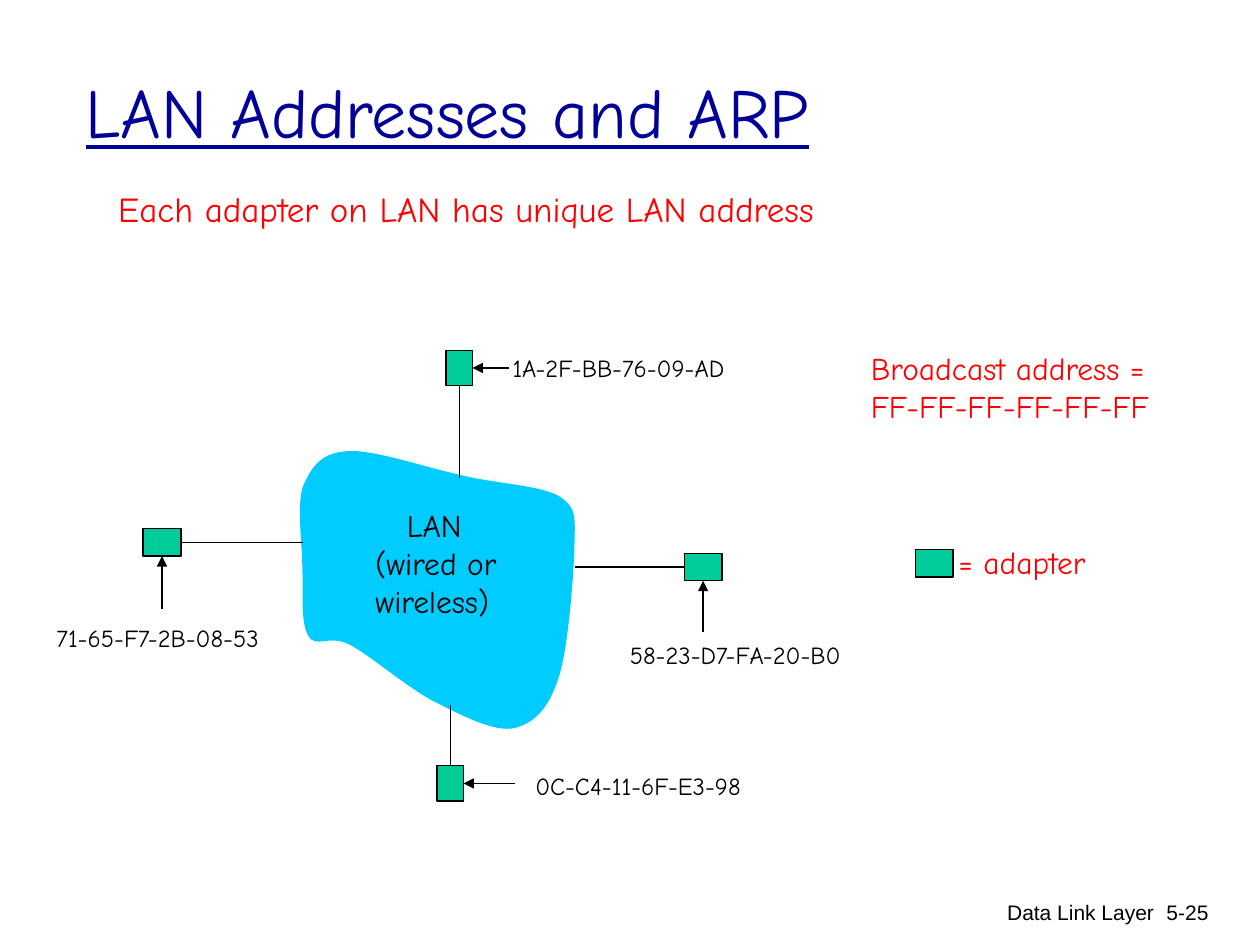
from dataclasses import dataclass

from pptx import Presentation
from pptx.dml.color import RGBColor as Color
from pptx.enum.shapes import MSO_CONNECTOR as Connector, MSO_SHAPE as Shape
from pptx.enum.text import MSO_ANCHOR as Anchor, MSO_AUTO_SIZE as AutoSize, PP_ALIGN as Align
from pptx.oxml.ns import qn
from pptx.util import Pt

TOP, LEFT, BOTTOM, RIGHT = range(4)
OUTWARD = {TOP: (0, -1), LEFT: (-1, 0), BOTTOM: (0, 1), RIGHT: (1, 0)}


@dataclass(frozen=True)
class Theme:
    heading: Color = Color.from_string("000099")
    accent: Color = Color.from_string("FF0000")
    ink: Color = Color.from_string("000000")
    adapter: Color = Color.from_string("00CC99")
    cloud: Color = Color.from_string("00CCFF")
    body_font: str = "Comic Neue"
    footer_font: str = "Arial"
    title_size: float = 40
    lead_size: float = 20
    note_size: float = 18
    label_size: float = 14
    footer_size: float = 12
    line_width: float = 0.75


THEME = Theme()


@dataclass(frozen=True)
class Label:
    lines: tuple[str, ...]
    left: float
    top: float
    width: float
    height: float
    size: float
    color: Color = THEME.ink
    font: str = THEME.body_font
    align: Align = Align.LEFT
    anchor: Anchor = Anchor.TOP
    underline: bool = False
    wrap: bool = False
    first_indent: float = 0


@dataclass(frozen=True)
class Adapter:
    left: float
    top: float
    width: float
    height: float
    wire_side: int
    wire_length: float
    arrow_side: int
    arrow_length: float


def add_label(page, label: Label) -> None:
    box = page.shapes.add_textbox(
        Pt(label.left), Pt(label.top), Pt(label.width), Pt(label.height))
    frame = box.text_frame
    frame.word_wrap = label.wrap
    frame.auto_size = AutoSize.NONE if label.wrap else AutoSize.SHAPE_TO_FIT_TEXT
    frame.vertical_anchor = label.anchor
    for index, line in enumerate(label.lines):
        para = frame.add_paragraph() if index else frame.paragraphs[0]
        para.alignment = label.align
        if index == 0 and label.first_indent:
            para._p.get_or_add_pPr().set("marL", str(Pt(label.first_indent)))
        span = para.add_run()
        span.text = line
        span.font.name = label.font
        span.font.size = Pt(label.size)
        span.font.color.rgb = label.color
        span.font.underline = label.underline or None


def add_adapter_box(page, left: float, top: float, width: float, height: float):
    box = page.shapes.add_shape(Shape.RECTANGLE, Pt(left), Pt(top), Pt(width), Pt(height))
    box.shadow.inherit = False
    box.fill.solid()
    box.fill.fore_color.rgb = THEME.adapter
    box.line.color.rgb = THEME.ink
    box.line.width = Pt(THEME.line_width)
    return box


def add_spoke(page, box, side: int, length: float, arrow: bool = False) -> None:
    """Draw a wire straight out from the middle of a side, or an arrow into it."""
    dx, dy = OUTWARD[side]
    near = (box.left + box.width * (1 + dx) // 2, box.top + box.height * (1 + dy) // 2)
    far = (near[0] + dx * Pt(length), near[1] + dy * Pt(length))
    start, end = (far, near) if arrow else (near, far)
    line = page.shapes.add_connector(Connector.STRAIGHT, *start, *end)
    join = line.end_connect if arrow else line.begin_connect
    join(box, side)
    line.line.color.rgb = THEME.ink
    line.line.width = Pt(THEME.line_width)
    properties = line._element.spPr
    if arrow:
        outline = line.line._get_or_add_ln()
        outline.append(outline.makeelement(qn("a:tailEnd"), {"type": "triangle"}))
    properties.append(properties.makeelement(qn("a:effectLst"), {}))


def add_cloud(page, start: tuple, curves: tuple) -> None:
    """Draw a closed outline of cubic curves, each given as two handles and an end."""
    builder = page.shapes.build_freeform(Pt(start[0]), Pt(start[1]))
    builder.add_line_segments(
        [(Pt(curve[i]), Pt(curve[i + 1])) for curve in curves for i in (0, 2, 4)])
    cloud = builder.convert_to_shape()
    # Turn every three straight segments into one cubic curve
    segments = list(cloud._element.iter(qn("a:lnTo")))
    for first in range(0, len(segments), 3):
        group = segments[first:first + 3]
        cubic = group[0].makeelement(qn("a:cubicBezTo"), {})
        group[0].addprevious(cubic)
        for segment in group:
            cubic.append(segment[0])
            segment.getparent().remove(segment)
    cloud.shadow.inherit = False
    cloud.fill.solid()
    cloud.fill.fore_color.rgb = THEME.cloud
    cloud.line.fill.background()


CLOUD_START = (199.4, 257.8)
CLOUD_CURVES = (
    (184.3, 258.5, 178.6, 265.7, 173.5, 277.2),
    (169.2, 288, 172.8, 309.6, 172.8, 324),
    (173.5, 338.4, 171.4, 355.7, 176.4, 363.6),
    (180.7, 370.8, 187.9, 362.2, 200.2, 368.6),
    (212.4, 375.1, 234.7, 394.6, 249.8, 401.8),
    (265.7, 409.7, 282.2, 418.3, 293.8, 416.2),
    (305.3, 413.3, 313.2, 405.4, 319, 388.1),
    (324.7, 371.5, 327.6, 331.2, 328.3, 313.9),
    (328.3, 296.6, 330.5, 290.9, 319.7, 283.7),
    (308.9, 277.2, 283, 276.5, 262.8, 271.4),
    (243.4, 267.1, 213.8, 257, 199.4, 257.8),
)

WIDE, TALL = (21.6, 15.8), (15.1, 20.2)
ADAPTERS = (
    Adapter(391, 316.1, *WIDE, LEFT, 62.6, BOTTOM, 29),
    Adapter(81.8, 302, *WIDE, RIGHT, 70, BOTTOM, 30),
    Adapter(254.9, 200.2, *TALL, BOTTOM, 52.5, RIGHT, 21),
    Adapter(249.8, 437.6, *TALL, TOP, 35, RIGHT, 29.5),
)

NOTE = dict(size=THEME.note_size, color=THEME.accent)
FOOTER = dict(size=THEME.footer_size, font=THEME.footer_font, align=Align.RIGHT, wrap=True)
ADDRESS = dict(height=23.8, size=THEME.label_size)
HEADER_LABELS = (
    # Footer
    Label(("Data Link Layer",), 438.5, 510.7, 228.2, 36, **FOOTER),
    Label(("5-25",), 644.4, 510.7, 53.3, 36, **FOOTER),
    # Title and lead
    Label(("LAN Addresses and ARP",), 42, 18, 612, 90, THEME.title_size, THEME.heading,
          anchor=Anchor.MIDDLE, underline=True, wrap=True),
    Label(("Each adapter on LAN has unique LAN address",), 60.5, 103.7, 442.1, 31,
          THEME.lead_size, THEME.accent),
    # Notes at the right
    Label(("Broadcast address =", "FF-FF-FF-FF-FF-FF"), 490.5, 195.8, 185.8, 50.4, **NOTE),
    Label(("= adapter",), 540.5, 306.7, 95, 28.8, **NOTE),
)
DIAGRAM_LABELS = (
    # Adapter addresses
    Label(("1A-2F-BB-76-09-AD",), 285.8, 198, 149.8, **ADDRESS),
    Label(("58-23-D7-FA-20-B0",), 352.8, 362.2, 149.8, **ADDRESS),
    Label(("0C-C4-11-6F-E3-98",), 298.8, 437.2, 141.1, **ADDRESS),
    Label(("71-65-F7-2B-08-53",), 25.2, 352.3, 144, **ADDRESS),
    # Cloud caption
    Label(("LAN", "(wired or", "wireless)"), 207.5, 285.6, 91.4, 72, THEME.note_size,
          first_indent=18),
)


def main() -> None:
    deck = Presentation()
    deck.slide_width, deck.slide_height = Pt(720), Pt(540)
    page = deck.slides.add_slide(deck.slide_layouts[6])

    # Headings, notes and legend key
    for label in HEADER_LABELS:
        add_label(page, label)
    add_adapter_box(page, 523, 314, *WIDE)

    # Network diagram
    add_cloud(page, CLOUD_START, CLOUD_CURVES)
    boxes = [add_adapter_box(page, a.left, a.top, a.width, a.height) for a in ADAPTERS]
    for adapter, box in zip(ADAPTERS, boxes):
        add_spoke(page, box, adapter.wire_side, adapter.wire_length)
        add_spoke(page, box, adapter.arrow_side, adapter.arrow_length, arrow=True)
    for label in DIAGRAM_LABELS:
        add_label(page, label)

    deck.save("out.pptx")


if __name__ == "__main__":
    main()
